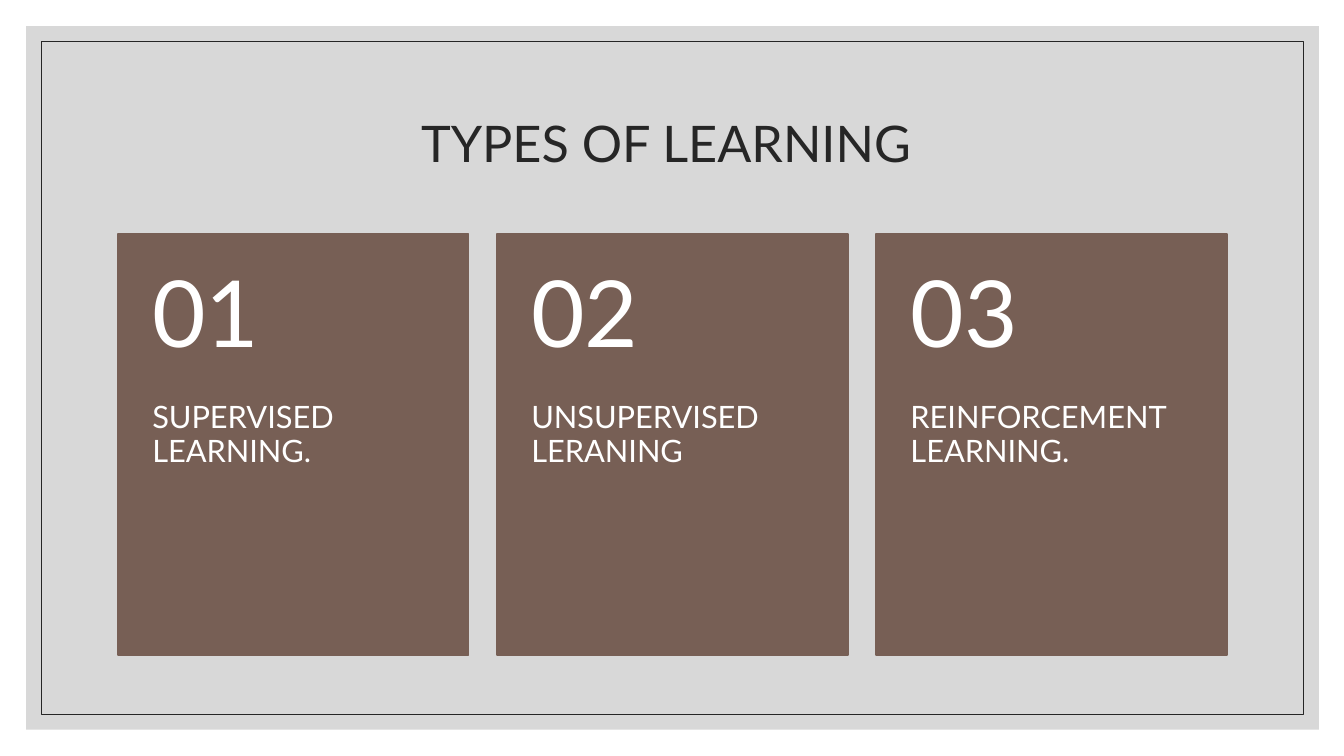
from pptx import Presentation
from pptx.dml.color import RGBColor
from pptx.enum.shapes import MSO_SHAPE
from pptx.enum.text import MSO_ANCHOR, MSO_AUTO_SIZE, PP_ALIGN
from pptx.oxml.ns import qn
from pptx.util import Inches, Pt
from lxml.etree import SubElement

TITLE = "TYPES OF LEARNING "
LEARNING_TYPES = ["SUPERVISED LEARNING.", "UNSUPERVISED LERANING", "REINFORCEMENT LEARNING."]
CARD_LEFT, CARD_TOP, CARD_WIDTH, CARD_HEIGHT = 1.17, 2.32, 3.48, 4.18
CARD_STEP = 3.76
NUMBER_HEIGHT = 1.67


def color(hex_value):
    return RGBColor.from_string(hex_value)


class SlideBuilder:
    font = "Lato"
    ink = "262626"
    panel_fill = "BFBFBF"
    card_fill = "775F55"
    card_ink = "FFFFFF"

    def __init__(self, slide):
        self.slide = slide

    def rectangle(self, shapes, box, fill=None, line=None, weight=1):
        rect = shapes.add_shape(MSO_SHAPE.RECTANGLE, *map(Inches, box))
        rect.shadow.inherit = False
        if fill:
            rect.fill.solid()
            rect.fill.fore_color.rgb = color(fill)
        else:
            rect.fill.background()
        if line:
            rect.line.color.rgb = color(line)
            rect.line.width = Pt(weight)
        else:
            rect.line.fill.background()
        return rect

    def styled_text(self, holder, text, size, ink, align=PP_ALIGN.LEFT, **frame_format):
        """Fill a shape with one styled paragraph; frame_format sets text frame attributes."""
        frame = holder.text_frame
        frame_format = {"word_wrap": True, "auto_size": MSO_AUTO_SIZE.NONE, **frame_format}
        for name, value in frame_format.items():
            setattr(frame, name, value)
        paragraph = frame.paragraphs[0]
        paragraph.alignment = align
        paragraph.line_spacing = 0.9
        run = paragraph.add_run()
        run.text = text
        for name, value in {"name": self.font, "size": Pt(size), "bold": False}.items():
            setattr(run.font, name, value)
        run.font.color.rgb = color(ink)

    def title(self, text, box):
        heading = self.slide.shapes.title
        for name, value in zip(("left", "top", "width", "height"), box):
            setattr(heading, name, Inches(value))
        self.styled_text(heading, text, 36, self.ink, PP_ALIGN.CENTER,
                         vertical_anchor=MSO_ANCHOR.MIDDLE)

    def backdrop(self):
        """Place the translucent panel and its thin frame behind the title."""
        shapes = self.slide.shapes
        panel = self.rectangle(shapes, (0.26, 0.26, 12.82, 6.98), fill=self.panel_fill)
        tint = panel.element.spPr.find(qn("a:solidFill")).find(qn("a:srgbClr"))
        SubElement(tint, qn("a:alpha"), val="60000")
        frame = self.rectangle(shapes, (0.41, 0.41, 12.52, 6.68), line=self.ink, weight=0.5)
        for part in (panel, frame):
            shapes.title.element.addprevious(part.element)

    def card(self, left, number, label):
        shapes = self.slide.shapes.add_group_shape().shapes
        self.rectangle(shapes, (left, CARD_TOP, CARD_WIDTH, CARD_HEIGHT),
                       fill=self.card_fill, line=self.card_fill)
        sides = {"margin_left": Inches(0.34), "margin_right": Inches(0.34)}
        label_box = (left, CARD_TOP + NUMBER_HEIGHT, CARD_WIDTH, CARD_HEIGHT - NUMBER_HEIGHT)
        self.styled_text(shapes.add_textbox(*map(Inches, label_box)), label, 22, self.card_ink,
                         margin_top=0, margin_bottom=Inches(0.36),
                         vertical_anchor=MSO_ANCHOR.TOP, **sides)
        number_box = (left, CARD_TOP, CARD_WIDTH, NUMBER_HEIGHT)
        self.styled_text(shapes.add_textbox(*map(Inches, number_box)), number, 66, self.card_ink,
                         margin_top=Inches(0.18), margin_bottom=Inches(0.18),
                         vertical_anchor=MSO_ANCHOR.MIDDLE, **sides)


def main():
    presentation = Presentation()
    presentation.slide_width = Inches(13.33)
    presentation.slide_height = Inches(7.5)
    title_only = presentation.slide_layouts.get_by_name("Title Only")
    builder = SlideBuilder(presentation.slides.add_slide(title_only))
    builder.backdrop()
    builder.title(TITLE, (1.17, 0.7, 11, 1.5))
    for index, label in enumerate(LEARNING_TYPES):
        builder.card(CARD_LEFT + index * CARD_STEP, f"{index + 1:02}", label)
    presentation.save("out.pptx")


if __name__ == "__main__":
    main()
